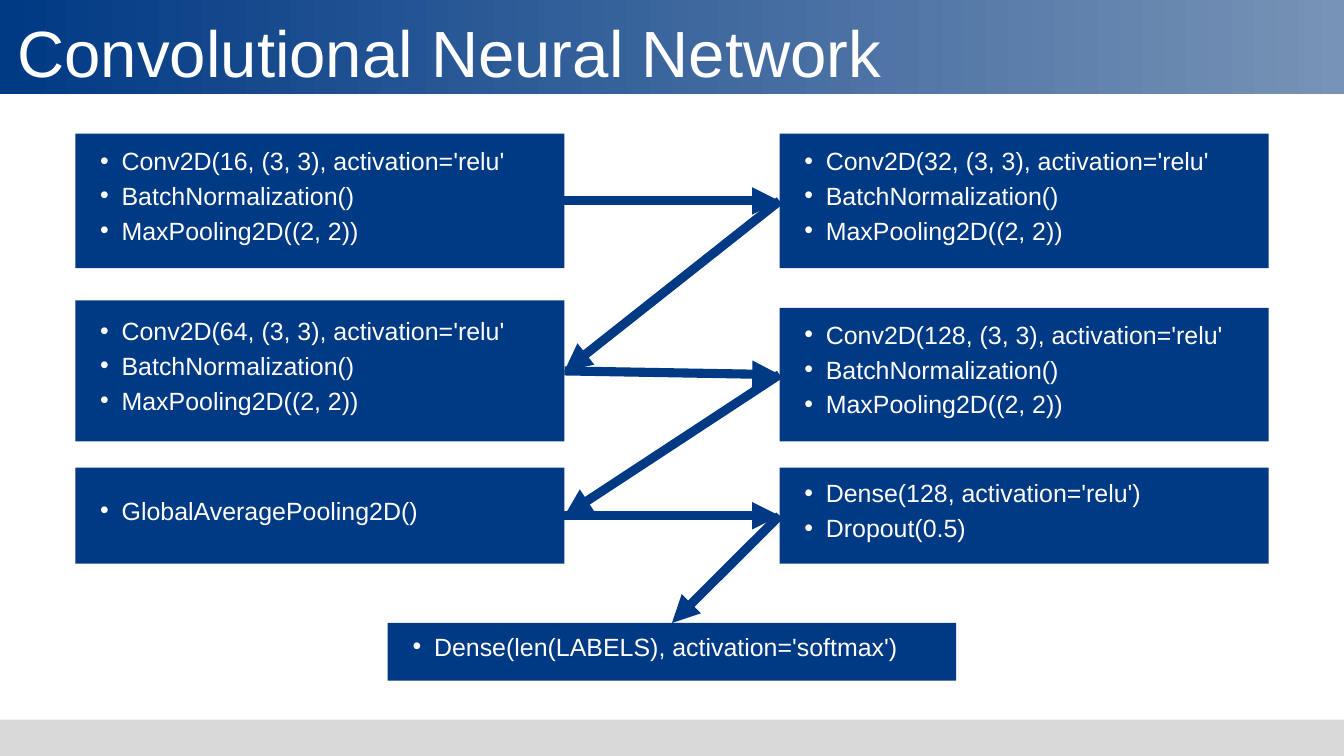
import pptx
import pptx.dml.color
import pptx.enum.shapes
import pptx.enum.text
import pptx.oxml.ns
import pptx.util
import lxml.etree

Inches = pptx.util.Inches
Pt = pptx.util.Pt
RGBColor = pptx.dml.color.RGBColor
qn = pptx.oxml.ns.qn

NAVY = RGBColor(0x00, 0x39, 0x84)
STEEL = RGBColor(0x77, 0x93, 0xB6)
GREY = RGBColor(0xD9, 0xD9, 0xD9)
WHITE = RGBColor(0xFF, 0xFF, 0xFF)

deck = pptx.Presentation()
deck.slide_width = Inches(20)
deck.slide_height = Inches(11.25)
slide = deck.slides.add_slide(deck.slide_layouts[6])


def add_block(left, top, width, height, color):
    block = slide.shapes.add_shape(
        pptx.enum.shapes.MSO_SHAPE.RECTANGLE,
        Inches(left), Inches(top), Inches(width), Inches(height))
    block.shadow.inherit = False
    block.line.fill.background()
    block.fill.solid()
    block.fill.fore_color.rgb = color
    return block


def add_text(para, text, size, spacing):
    para.alignment = pptx.enum.text.PP_ALIGN.LEFT
    para.line_spacing = Pt(spacing)
    span = para.add_run()
    span.text = text
    span.font.name = "Arial"
    span.font.size = Pt(size)
    span.font.color.rgb = WHITE


# Header and footer bands
header = add_block(0, 0, 20, 1.4, NAVY)
header.fill.gradient()
header.fill.gradient_angle = 0
for stop, color in zip(header.fill.gradient_stops, (NAVY, STEEL)):
    stop.color.rgb = color
add_block(0, 10.71, 20, 0.54, GREY)

title = slide.shapes.add_textbox(Inches(0.26), Inches(-0.02), Inches(13.63), Inches(1.3))
frame = title.text_frame
frame.word_wrap = True
frame.margin_left = frame.margin_right = frame.margin_top = frame.margin_bottom = 0
add_text(frame.paragraphs[0], "Convolutional Neural Network", 70, 98)

# Network layers in order of flow: left, top, width, height, lines
LEFT, RIGHT, WIDTH = 1.12, 11.6, 7.28
POOLING = ["BatchNormalization()", "MaxPooling2D((2, 2))"]
layers = [
    (LEFT, 1.99, WIDTH, 2, ["Conv2D(16, (3, 3), activation='relu'"] + POOLING),
    (RIGHT, 1.99, WIDTH, 2, ["Conv2D(32, (3, 3), activation='relu'"] + POOLING),
    (LEFT, 4.47, WIDTH, 2.1, ["Conv2D(64, (3, 3), activation='relu'"] + POOLING),
    (RIGHT, 4.58, WIDTH, 1.99, ["Conv2D(128, (3, 3), activation='relu'"] + POOLING),
    (LEFT, 6.96, WIDTH, 1.43, ["GlobalAveragePooling2D()"]),
    (RIGHT, 6.96, WIDTH, 1.43, ["Dense(128, activation='relu')", "Dropout(0.5)"]),
    (5.77, 9.27, 8.46, 0.86, ["Dense(len(LABELS), activation='softmax')"]),
]
ports = []
for left, top, width, height, lines in layers:
    box = add_block(left, top, width, height, NAVY)
    frame = box.text_frame
    frame.word_wrap = True
    frame.vertical_anchor = pptx.enum.text.MSO_ANCHOR.MIDDLE
    frame.margin_left = frame.margin_right = Inches(0.06)
    frame.margin_top = 0
    frame.margin_bottom = Inches(0.24)
    for index, line in enumerate(lines):
        para = frame.add_paragraph() if index else frame.paragraphs[0]
        para.level = 1
        properties = para._p.get_or_add_pPr()
        properties.set("marL", str(Inches(0.63)))
        properties.set("indent", str(Inches(-0.32)))
        lxml.etree.SubElement(properties, qn("a:buFont"), typeface="Arial")
        lxml.etree.SubElement(properties, qn("a:buChar"), char="•")
        add_text(para, line, 26.7, 37.4)

    # Arrows meet the inner side of a column box, or the top of the last box
    if left == LEFT:
        ports.append((left + width, top + height / 2))
    elif left == RIGHT:
        ports.append((left, top + height / 2))
    else:
        ports.append((left + width / 2, top))

for start, end in zip(ports, ports[1:]):
    arrow = slide.shapes.add_connector(
        pptx.enum.shapes.MSO_CONNECTOR.STRAIGHT,
        *(Inches(value) for value in start + end))
    arrow.line.color.rgb = NAVY
    arrow.line.width = Pt(9.75)
    lxml.etree.SubElement(arrow.line._get_or_add_ln(), qn("a:tailEnd"), type="triangle")
    lxml.etree.SubElement(arrow._element.spPr, qn("a:effectLst"))

deck.save("out.pptx")
